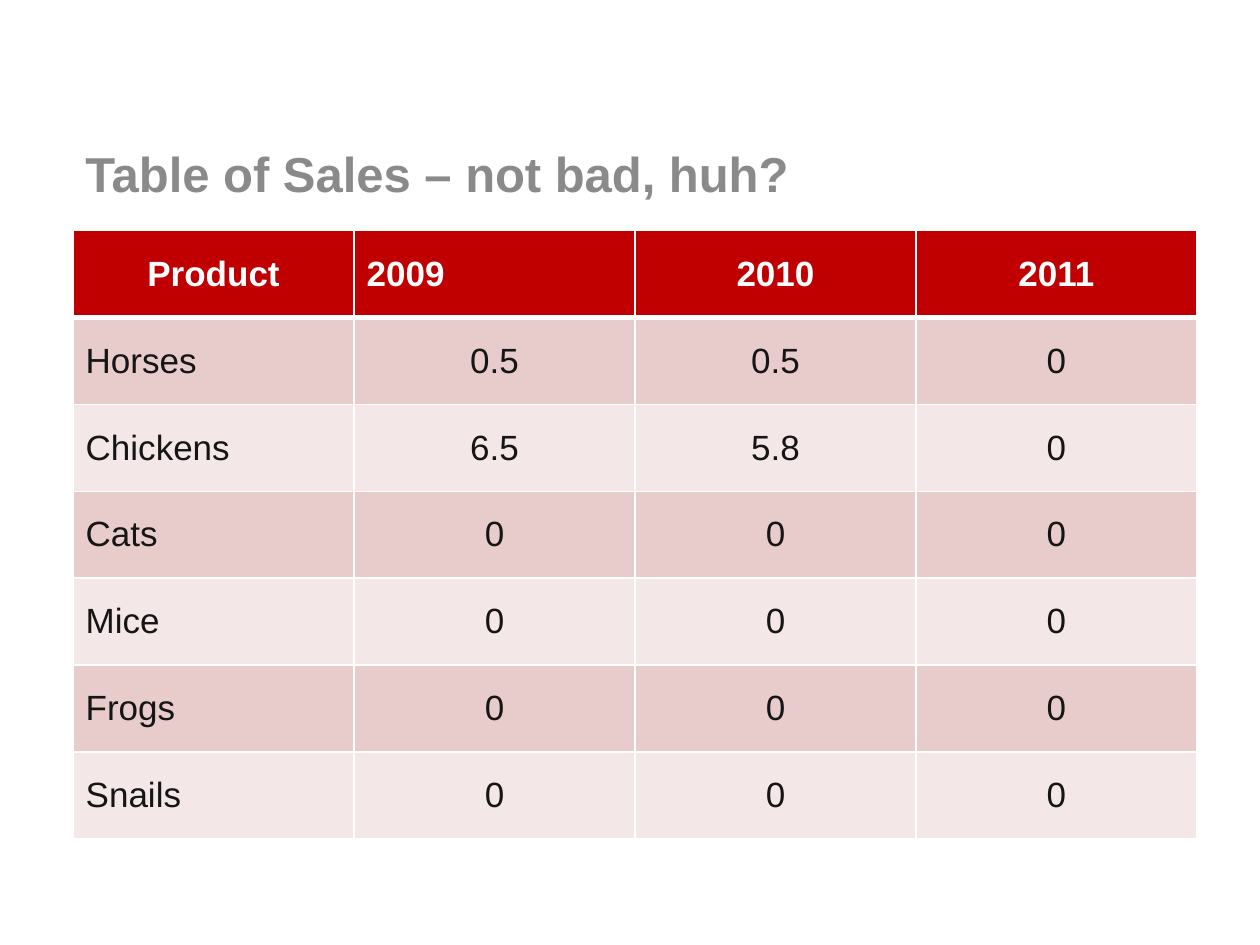
from dataclasses import dataclass

from lxml.etree import SubElement
from pptx import Presentation
from pptx.dml.color import RGBColor
from pptx.enum.text import MSO_ANCHOR, PP_ALIGN
from pptx.oxml.ns import qn
from pptx.util import Inches, Pt


@dataclass(frozen=True)
class Theme:
    font: str = "Arial"
    title_size: int = 28
    table_size: int = 20
    title: str = "8A8A8A"
    header_text: str = "FFFFFF"
    body_text: str = "151515"
    header_fill: str = "C00000"
    bands: tuple = ("E8CCCC", "F4E7E7")
    border: str = "FFFFFF"
    border_width: int = 1
    header_rule_width: int = 3


THEME = Theme()

HEADERS = ("Product", "2009", "2010", "2011")
SALES = (
    ("Horses", "0.5", "0.5", "0"),
    ("Chickens", "6.5", "5.8", "0"),
    ("Cats", "0", "0", "0"),
    ("Mice", "0", "0", "0"),
    ("Frogs", "0", "0", "0"),
    ("Snails", "0", "0", "0"),
)


def style_paragraph(paragraph, size, color, bold, align):
    paragraph.alignment = align
    font = paragraph.font
    font.name = THEME.font
    font.size = Pt(size)
    font.bold = bold
    font.color.rgb = RGBColor.from_string(color)


def set_borders(cell, top, bottom):
    """Draw the four cell edges; borders must precede the fill in tcPr."""
    properties = cell._tc.get_or_add_tcPr()
    edges = {"L": THEME.border_width, "R": THEME.border_width, "T": top, "B": bottom}
    for edge, width in edges.items():
        line = SubElement(properties, qn(f"a:ln{edge}"), w=str(Pt(width)))
        fill = SubElement(line, qn("a:solidFill"))
        SubElement(fill, qn("a:srgbClr"), val=THEME.border)


def add_title(slide, left, top, width, height):
    frame = slide.shapes.add_textbox(left, top, width, height).text_frame
    frame.word_wrap = True
    frame.vertical_anchor = MSO_ANCHOR.MIDDLE
    frame.text = "Table of Sales – not bad, huh?"
    style_paragraph(frame.paragraphs[0], THEME.title_size, THEME.title, True, PP_ALIGN.LEFT)


def add_sales_table(slide, left, top, width, height):
    rows = (HEADERS, *SALES)
    table = slide.shapes.add_table(
        len(rows), len(HEADERS), left, top, width, height
    ).table

    for row_index, row in enumerate(rows):
        is_header = row_index == 0
        fill = THEME.header_fill if is_header else THEME.bands[(row_index - 1) % 2]
        color = THEME.header_text if is_header else THEME.body_text
        # The thick rule lies between the header and the first product
        top_width = THEME.header_rule_width if row_index == 1 else THEME.border_width
        bottom_width = THEME.header_rule_width if is_header else THEME.border_width

        for column_index, value in enumerate(row):
            # Product names and the 2009 heading are left-aligned
            left_column = 1 if is_header else 0
            align = PP_ALIGN.LEFT if column_index == left_column else PP_ALIGN.CENTER
            cell = table.cell(row_index, column_index)
            cell.text = value
            cell.vertical_anchor = MSO_ANCHOR.MIDDLE
            set_borders(cell, top_width, bottom_width)
            cell.fill.solid()
            cell.fill.fore_color.rgb = RGBColor.from_string(fill)
            style_paragraph(
                cell.text_frame.paragraphs[0], THEME.table_size, color, is_header, align
            )


def main():
    presentation = Presentation()
    presentation.slide_width = Inches(10)
    presentation.slide_height = Inches(7.5)
    slide = presentation.slides.add_slide(presentation.slide_layouts[6])

    left, width = Inches(0.58), Inches(8.92)
    add_title(slide, left, Inches(1.08), width, Inches(0.58))
    add_sales_table(slide, left, Inches(1.83), width, Inches(4.83))

    presentation.save("out.pptx")


if __name__ == "__main__":
    main()
